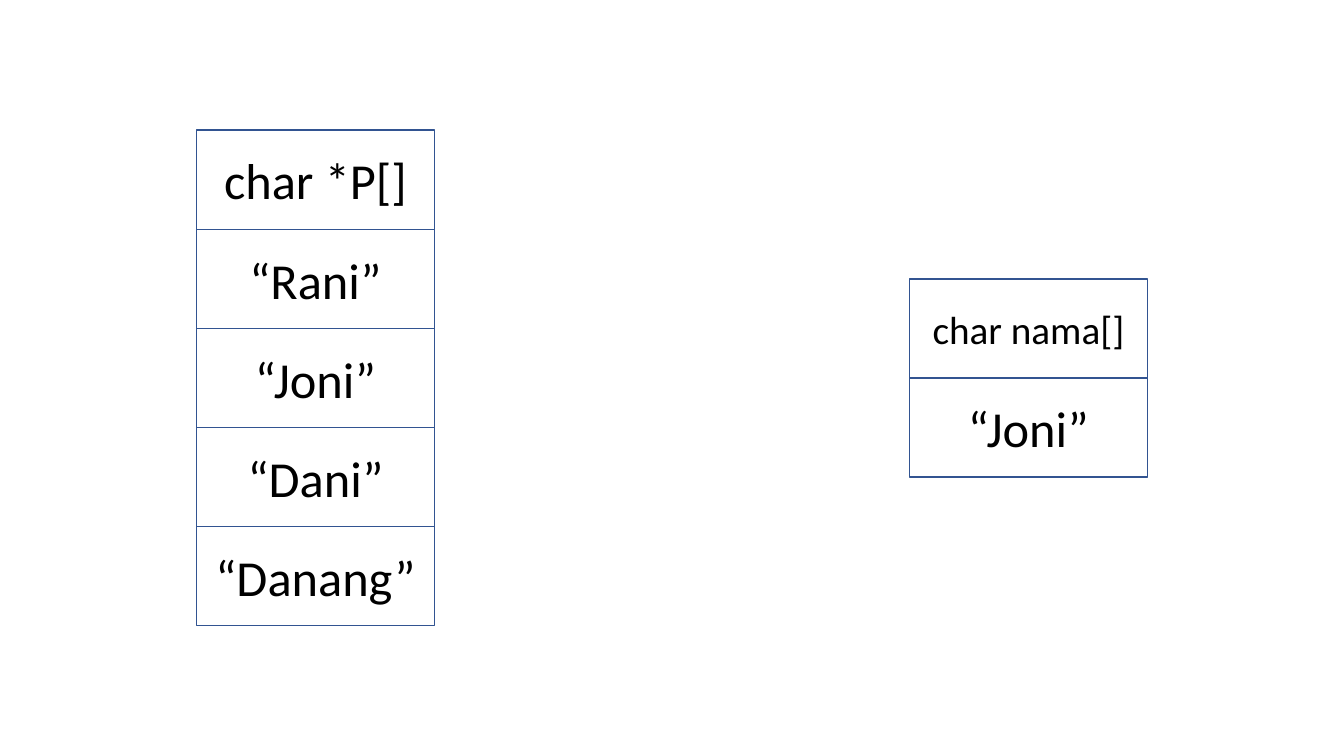
from pptx import Presentation
from pptx.dml.color import RGBColor
from pptx.enum.shapes import MSO_SHAPE
from pptx.enum.text import MSO_ANCHOR, PP_ALIGN
from pptx.util import Inches, Pt

RECTANGLE = MSO_SHAPE.RECTANGLE
MIDDLE = MSO_ANCHOR.MIDDLE
CENTER = PP_ALIGN.CENTER

# Content: each array is a declaration above its values
ARRAYS = [
    {"left": 1.95, "declaration": "char *P[]", "size": 36,
     "values": ["“Rani”", "“Joni”", "“Dani”", "“Danang”"]},
    {"left": 9.02, "declaration": "char nama[]", "size": 28,
     "values": ["“Joni”"]},
]
COLORS = {"border": "325491", "text": "000000"}
FONT = "Calibri"
VALUE_SIZE = 36

# Layout in inches: stacks of equal cells, centred vertically
SLIDE_W, SLIDE_H = 13.33, 7.5
CELL_W = 2.36
CELL_H = CELL_W / 2.4


def write_text(cell, text, size=VALUE_SIZE, color="text", align=CENTER):
    frame = cell.text_frame
    frame.word_wrap = True
    frame.vertical_anchor = MIDDLE
    paragraph = frame.paragraphs[0]
    paragraph.alignment = align
    run = paragraph.add_run()
    run.text = text
    run.font.name = FONT
    run.font.size = Pt(size)
    run.font.color.rgb = RGBColor.from_string(COLORS[color])


def add_cell(stack, left, top):
    cell = stack.shapes.add_shape(
        RECTANGLE, Inches(left), Inches(top), Inches(CELL_W), Inches(CELL_H))
    cell.shadow.inherit = False
    cell.fill.background()
    cell.line.color.rgb = RGBColor.from_string(COLORS["border"])
    cell.line.width = Pt(1)
    return cell


presentation = Presentation()
presentation.slide_width = Inches(SLIDE_W)
presentation.slide_height = Inches(SLIDE_H)
slide = presentation.slides.add_slide(presentation.slide_layouts[6])

# One group of stacked cells per array
for array in ARRAYS:
    rows = [(array["declaration"], array["size"])]
    rows += [(value, VALUE_SIZE) for value in array["values"]]
    stack_top = (SLIDE_H - len(rows) * CELL_H) / 2
    stack = slide.shapes.add_group_shape()
    for row, (text, size) in enumerate(rows):
        cell = add_cell(stack, array["left"], stack_top + row * CELL_H)
        write_text(cell, text, size=size)

presentation.save("out.pptx")
